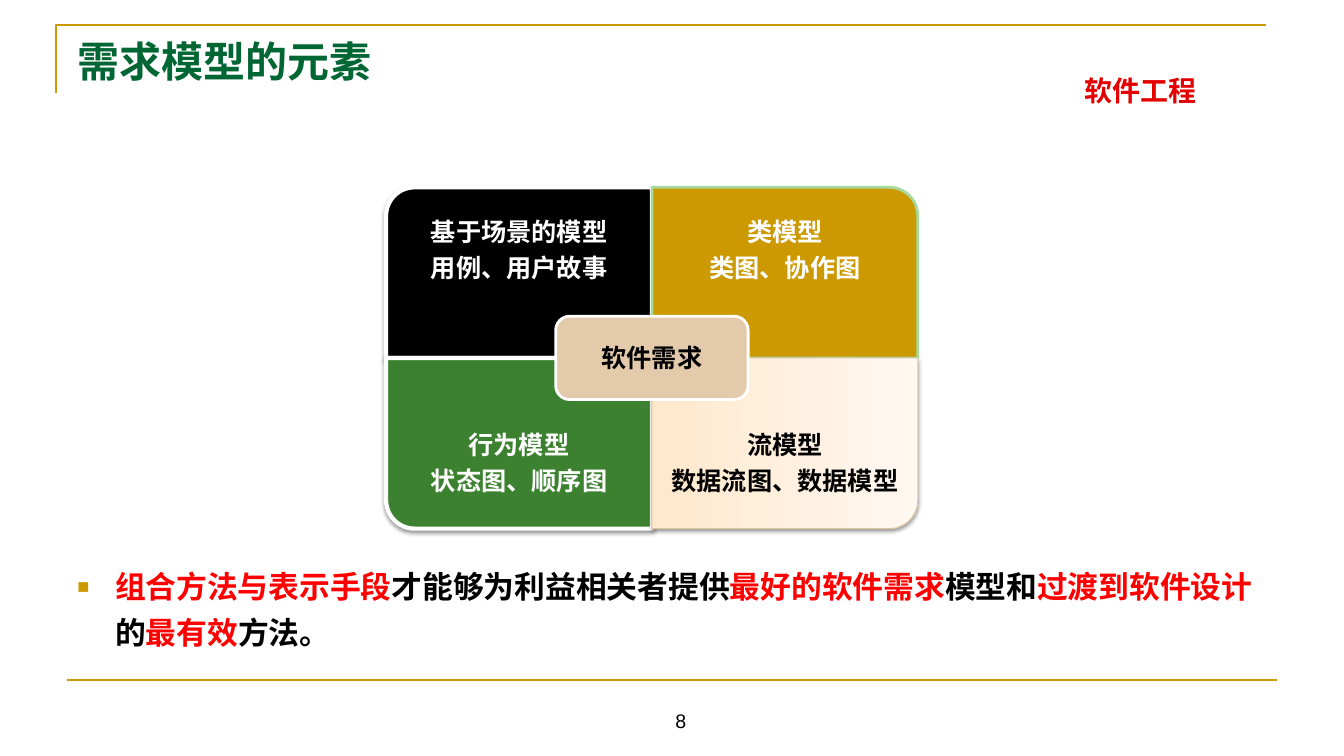
from lxml import etree
from pptx import Presentation
from pptx import util as u
from pptx.dml.color import RGBColor
from pptx.enum import shapes, text
from pptx.oxml import parse_xml
from pptx.oxml.ns import nsdecls, qn

Cm, Pt = u.Cm, u.Pt
COLORS = {
    "gold": "CC9900", "title": "006633", "course": "E20000", "red": "FF0000",
    "black": "000000", "white": "FFFFFF", "green": "3B812F", "mint": "A6DB9D",
    "peach": "FFE8CC", "cream": "FFF8F1", "tan": "DEC6A5", "sand": "E2CAAB",
}
CENTER_X, CENTER_Y = 16.43, 9.02
QUAD_W, QUAD_H = 6.7, 4.3
LABEL_H = 3.22

# column, row, rotation, fill, line, line width, shadow, text colour, lines
QUADRANTS = [
    (0, 0, 270, "black", "white", 3, True, "white", "基于场景的模型\n用例、用户故事"),
    (1, 0, 0, "gold", "mint", 2, False, "white", "类模型\n类图、协作图"),
    (0, 1, 180, "green", "white", 3, True, "white", "行为模型\n状态图、顺序图"),
    (1, 1, 90, ("peach", "cream"), "tan", 0.75, True, "black", "流模型\n数据流图、数据模型"),
]
CONCLUSION = [
    ("组合方法与表示手段", "red"), ("才能够为利益相关者提供", "black"),
    ("最好的软件需求", "red"), ("模型和", "black"), ("过渡到软件设计", "red"),
    ("的", "black"), ("最有效", "red"), ("方法。", "black"),
]


def rgb(name):
    return RGBColor.from_string(COLORS[name])


def style_run(r, size, color, bold=True, font="Arial"):
    r.font.size, r.font.bold, r.font.name = Pt(size), bold, font
    r.font.color.rgb = rgb(color)


def write(sp, content, size, color, anchor=text.MSO_ANCHOR.MIDDLE,
          align=text.PP_ALIGN.CENTER, inset=0.25, **font):
    tf = sp.text_frame
    tf.text = content
    tf.word_wrap = True
    tf.auto_size = text.MSO_AUTO_SIZE.NONE
    tf.vertical_anchor = anchor
    tf.margin_left = tf.margin_right = Cm(inset)
    tf.margin_top = tf.margin_bottom = Cm(inset / 2)
    for p in tf.paragraphs:
        p.alignment = align
        for r in p.runs:
            style_run(r, size, color, **font)


def add_text(parent, x, y, w, h, *args, **kwargs):
    sp = parent.shapes.add_textbox(Cm(x), Cm(y), Cm(w), Cm(h))
    write(sp, *args, **kwargs)
    return sp


def add_label(parent, x, y, content, color):
    sp = add_text(parent, x, y, QUAD_W, LABEL_H, content, 18, color, inset=0.36)
    for p in sp.text_frame.paragraphs:
        p.line_spacing, p.space_after = 0.9, Pt(6.3)


def add_block(parent, kind, x, y, w, h, fill, line, width):
    sp = parent.shapes.add_shape(kind, Cm(x), Cm(y), Cm(w), Cm(h))
    sp.shadow.inherit = False
    if isinstance(fill, tuple):
        sp.fill.gradient()
        sp.fill.gradient_angle = 90
        for stop, name in zip(sp.fill.gradient_stops, fill):
            stop.color.rgb = rgb(name)
    else:
        sp.fill.solid()
        sp.fill.fore_color.rgb = rgb(fill)
    sp.line.color.rgb = rgb(line)
    sp.line.width = Pt(width)
    return sp


def add_shadow(sp):
    effects = sp._element.spPr.find(qn("a:effectLst"))
    effects.append(parse_xml(
        f'<a:outerShdw {nsdecls("a")} blurRad="{Pt(3.1)}" dist="{Pt(1.6)}" dir="5400000" '
        'rotWithShape="0"><a:srgbClr val="000000"><a:alpha val="38000"/></a:srgbClr>'
        '</a:outerShdw>'))


def add_quadrant(parent, col, row, rotation, fill, line, width, shadow, color, content):
    x, y = CENTER_X + (col - 1) * QUAD_W, CENTER_Y + (row - 1) * QUAD_H
    # A quarter-turned block is laid out with its sides swapped about the same centre.
    w, h = (QUAD_H, QUAD_W) if rotation % 180 else (QUAD_W, QUAD_H)
    sp = add_block(parent, shapes.MSO_SHAPE.ROUND_1_RECTANGLE, x + (QUAD_W - w) / 2,
                   y + (QUAD_H - h) / 2, w, h, fill, line, width)
    sp.rotation = rotation
    if shadow:
        add_shadow(sp)
    add_label(parent, x, y + row * (QUAD_H - LABEL_H), content, color)


def add_matrix(s):
    group = s.shapes.add_group_shape()
    for quadrant in QUADRANTS:
        add_quadrant(group, *quadrant)
    w, h = 4.85, 2.1
    core = add_block(group, shapes.MSO_SHAPE.ROUNDED_RECTANGLE, CENTER_X - w / 2,
                     CENTER_Y - h / 2, w, h, "sand", "white", 2)
    write(core, "软件需求", 18, "black")


def add_frame(s):
    """Draw the gold corner at the top and the gold rule at the bottom."""
    builder = s.shapes.build_freeform(Cm(1.42), Cm(2.34))
    builder.add_line_segments([(Cm(1.42), Cm(0.64)), (Cm(31.9), Cm(0.64))], close=False)
    corner = builder.convert_to_shape()
    corner.shadow.inherit = False
    corner.fill.background()
    rule = s.shapes.add_connector(shapes.MSO_CONNECTOR.STRAIGHT,
                                  Cm(1.7), Cm(17.14), Cm(32.18), Cm(17.14))
    etree.SubElement(rule._element.spPr, qn("a:effectLst"))
    for sp in (corner, rule):
        sp.line.color.rgb = rgb("gold")
        sp.line.width = Pt(1.5)


def add_conclusion(s):
    sp = add_text(s, 1.7, 13.95, 30.48, 2.8, "", 22, "black",
                  text.MSO_ANCHOR.TOP, text.PP_ALIGN.LEFT)
    p = sp.text_frame.paragraphs[0]
    p.line_spacing = Pt(33)
    for content, color in CONCLUSION:
        r = p.add_run()
        r.text = content
        style_run(r, 22, color)
    pPr = p._p.get_or_add_pPr()
    pPr.set("marL", str(Cm(0.95)))
    pPr.set("indent", str(Cm(-0.95)))
    for xml in (f'<a:buClr {nsdecls("a")}><a:srgbClr val="{COLORS["gold"]}"/></a:buClr>',
                f'<a:buSzPct {nsdecls("a")} val="65000"/>',
                f'<a:buFont {nsdecls("a")} typeface="Arial"/>',
                f'<a:buChar {nsdecls("a")} char="■"/>'):
        pPr.append(parse_xml(xml))


def main():
    prs = Presentation()
    prs.slide_width, prs.slide_height = Cm(33.87), Cm(19.05)
    s = prs.slides.add_slide(prs.slide_layouts[5])
    title = s.shapes.title
    title.left, title.top, title.width, title.height = Cm(1.7), Cm(0.76), Cm(30.48), Cm(1.55)
    write(title, "需求模型的元素", 30, "title", align=text.PP_ALIGN.LEFT, font="Times New Roman")
    add_frame(s)
    add_text(s, 23.34, 1.73, 10.8, 1.09, "软件工程", 20, "course", font="Noto Sans CJK JP")
    add_text(s, 13.21, 17.32, 7.9, 1.27, "8", 14, "black", text.MSO_ANCHOR.BOTTOM, bold=False)
    add_matrix(s)
    add_conclusion(s)
    prs.save("out.pptx")


if __name__ == "__main__":
    main()
